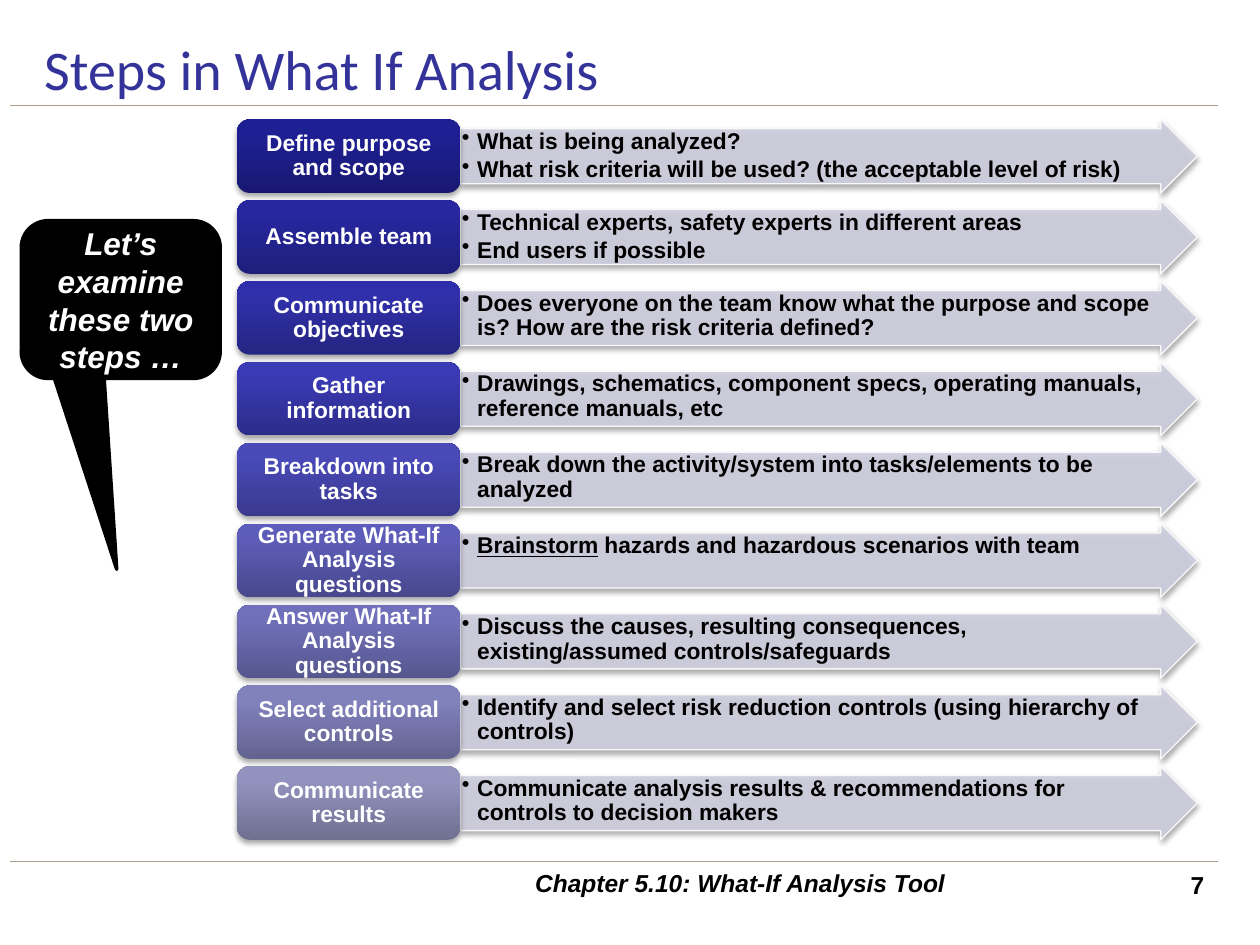
from dataclasses import dataclass

from lxml import etree
from pptx import Presentation
from pptx.dml.color import RGBColor
from pptx.enum.shapes import MSO_CONNECTOR, MSO_SHAPE
from pptx.enum.text import MSO_ANCHOR, MSO_AUTO_SIZE, PP_ALIGN
from pptx.oxml.ns import qn
from pptx.util import Cm, Pt

LEFT, CENTER, RIGHT = PP_ALIGN.LEFT, PP_ALIGN.CENTER, PP_ALIGN.RIGHT
TOP, MIDDLE = MSO_ANCHOR.TOP, MSO_ANCHOR.MIDDLE
ARROW, ROUNDED = MSO_SHAPE.RIGHT_ARROW, MSO_SHAPE.ROUNDED_RECTANGLE
CALLOUT = MSO_SHAPE.ROUNDED_RECTANGULAR_CALLOUT
STRAIGHT, NO_FIT = MSO_CONNECTOR.STRAIGHT, MSO_AUTO_SIZE.NONE


@dataclass(frozen=True)
class Theme:
    heading_font: str = "Calibri"
    body_font: str = "Arial"
    heading: str = "333399"
    dark: str = "000000"
    light: str = "FFFFFF"
    rule: str = "AA9C8F"
    arrow: str = "CECEDE"
    arrow_edge: str = "F9F9F9"
    title_size: float = 32
    callout_size: float = 18
    footer_size: float = 14
    step_size: float = 13


THEME = Theme()
MARGINS = (0.25, 0.13, 0.25, 0.13)
LABEL_LEFT, LABEL_WIDTH = 4.78, 4.5
ARROW_WIDTH = 14.86
ROW_TOP, ROW_PITCH, ROW_HEIGHT = 2.41, 1.63, 1.48

# Underscores enclose underlined words.
STEPS = [
    ("Define purpose and scope",
     ["What is being analyzed?",
      "What risk criteria will be used? (the acceptable level of risk)"],
     ("181872", "1F1F94", "1D1D97")),
    ("Assemble team",
     ["Technical experts, safety experts in different areas",
      "End users if possible"],
     ("1E1E7B", "27279F", "2525A2")),
    ("Communicate objectives",
     ["Does everyone on the team know what the purpose and scope is? "
      "How are the risk criteria defined?"],
     ("252583", "3030AA", "2E2EAD")),
    ("Gather information",
     ["Drawings, schematics, component specs, operating manuals, "
      "reference manuals, etc"],
     ("2C2C8A", "3A3AB4", "3838B7")),
    ("Breakdown into tasks",
     ["Break down the activity/system into tasks/elements to be analyzed"],
     ("39398E", "4949B8", "4848BB")),
    ("Generate What-If Analysis questions",
     ["_Brainstorm_ hazards and hazardous scenarios with team"],
     ("48488E", "5D5DB9", "5C5CBC")),
    ("Answer What-If Analysis questions",
     ["Discuss the causes, resulting consequences, existing/assumed "
      "controls/safeguards"],
     ("56568F", "7070BA", "6F6FBC")),
    ("Select additional controls",
     ["Identify and select risk reduction controls (using hierarchy of controls)"],
     ("636391", "8181BC", "8080BE")),
    ("Communicate results",
     ["Communicate analysis results & recommendations for controls "
      "to decision makers"],
     ("707092", "9292BE", "9292C0")),
]


def rgb(color):
    return RGBColor.from_string(color)


def add_element(parent, tag, **attributes):
    values = {name: str(value) for name, value in attributes.items()}
    return etree.SubElement(parent, qn(tag), values)


def write_text(box, lines, *, size, color=THEME.dark, font=THEME.body_font,
               bold=True, italic=False, align=LEFT, anchor=MIDDLE,
               margins=MARGINS, spacing=None, after=None, bullet=None):
    frame = box.text_frame
    frame.word_wrap = True
    frame.auto_size = NO_FIT
    frame.vertical_anchor = anchor
    (frame.margin_left, frame.margin_top,
     frame.margin_right, frame.margin_bottom) = map(Cm, margins)
    for index, line in enumerate(lines):
        para = frame.add_paragraph() if index else frame.paragraphs[0]
        para.alignment = align
        if spacing:
            para.line_spacing = spacing
        if after:
            para.space_after = Pt(after)
        if bullet:
            para.level = 1
            properties = para._p.get_or_add_pPr()
            properties.set("marL", str(Cm(0.31)))
            properties.set("indent", str(Cm(-0.31)))
            add_element(properties, "a:buChar", char=bullet)
        for part, text in enumerate(line.split("_")):
            if text:
                span = para.add_run()
                span.text = text
                span.font.name = font
                span.font.size = Pt(size)
                span.font.bold = bold
                span.font.italic = italic
                span.font.underline = part % 2 == 1
                span.font.color.rgb = rgb(color)


def add_rule(page, top):
    rule = page.shapes.add_connector(STRAIGHT, Cm(0.2), Cm(top), Cm(24.56), Cm(top))
    rule.line.color.rgb = rgb(THEME.rule)
    rule.line.width = Pt(0.75)
    add_element(rule._element.spPr, "a:effectLst")


def add_textbox(page, text, left, width, **text_format):
    box = page.shapes.add_textbox(Cm(left), Cm(17.4), Cm(width), Cm(0.79))
    write_text(box, [text], size=THEME.footer_size, **text_format)


def add_block(page, kind, left, top, width, height, adjustments):
    block = page.shapes.add_shape(kind, Cm(left), Cm(top), Cm(width), Cm(height))
    for index, value in enumerate(adjustments):
        block.adjustments[index] = value
    block.shadow.inherit = False
    return block


def add_shadow(block):
    effects = block._element.spPr.find(qn("a:effectLst"))
    shadow = add_element(effects, "a:outerShdw", blurRad=Pt(3.1), dist=Pt(1.8),
                         dir=90 * 60000, rotWithShape=0)
    color = add_element(shadow, "a:srgbClr", val=THEME.dark)
    add_element(color, "a:alpha", val=35000)


def set_gradient(block, colors):
    block.fill.gradient()
    block.fill.gradient_angle = 90
    stops = block._element.spPr.find(".//" + qn("a:gsLst"))
    for stop in list(stops):
        stops.remove(stop)
    for position, color in zip((0, 80000, 100000), colors):
        stop = add_element(stops, "a:gs", pos=position)
        add_element(stop, "a:srgbClr", val=color)


def add_step(page, top, label, points, colors):
    arrow = add_block(page, ARROW, LABEL_LEFT + LABEL_WIDTH, top,
                      ARROW_WIDTH, ROW_HEIGHT, (0.75, 0.5))
    arrow.fill.solid()
    arrow.fill.fore_color.rgb = rgb(THEME.arrow)
    color = arrow._element.spPr.find(qn("a:solidFill")).find(qn("a:srgbClr"))
    add_element(color, "a:alpha", val=90000)
    arrow.line.color.rgb = rgb(THEME.arrow_edge)
    arrow.line.width = Pt(0.75)
    add_shadow(arrow)
    write_text(arrow, points, size=THEME.step_size, anchor=TOP,
               margins=(0.03, 0.02, 0.4, 0), spacing=0.9, after=2, bullet="•")

    block = add_block(page, ROUNDED, LABEL_LEFT, top, LABEL_WIDTH, ROW_HEIGHT, (0.17,))
    set_gradient(block, colors)
    block.line.fill.background()
    add_shadow(block)
    write_text(block, [label], size=THEME.step_size, color=THEME.light,
               align=CENTER, margins=(0.13, 0.08, 0.13, 0.08), spacing=0.9)


def add_callout(page, text):
    callout = add_block(page, CALLOUT, 0.43, 4.45, 4.01, 3.18, (-0.02, 1.71, 0.17))
    callout.fill.solid()
    callout.fill.fore_color.rgb = rgb(THEME.dark)
    callout.line.color.rgb = rgb(THEME.dark)
    callout.line.width = Pt(2)
    write_text(callout, [text], size=THEME.callout_size, color=THEME.light,
               italic=True, align=CENTER)


def main():
    deck = Presentation()
    deck.slide_width, deck.slide_height = Cm(25.4), Cm(19.05)
    page = deck.slides.add_slide(deck.slide_layouts[5])
    title = page.shapes.title
    title.left, title.top, title.width, title.height = map(Cm, (0.64, 0.64, 24.13, 1.47))
    write_text(title, ["Steps in What If Analysis"], size=THEME.title_size,
               color=THEME.heading, font=THEME.heading_font, bold=False)
    for top in (2.12, 17.36):
        add_rule(page, top)
    for row, step in enumerate(STEPS):
        add_step(page, ROW_TOP + row * ROW_PITCH, *step)
    add_textbox(page, "7", 23.06, 1.47, align=RIGHT, anchor=TOP)
    add_textbox(page, "Chapter 5.10: What-If Analysis Tool", 7.42, 15.01,
                italic=True, align=CENTER)
    add_callout(page, "Let’s examine these two steps …")
    deck.save("out.pptx")


if __name__ == "__main__":
    main()
